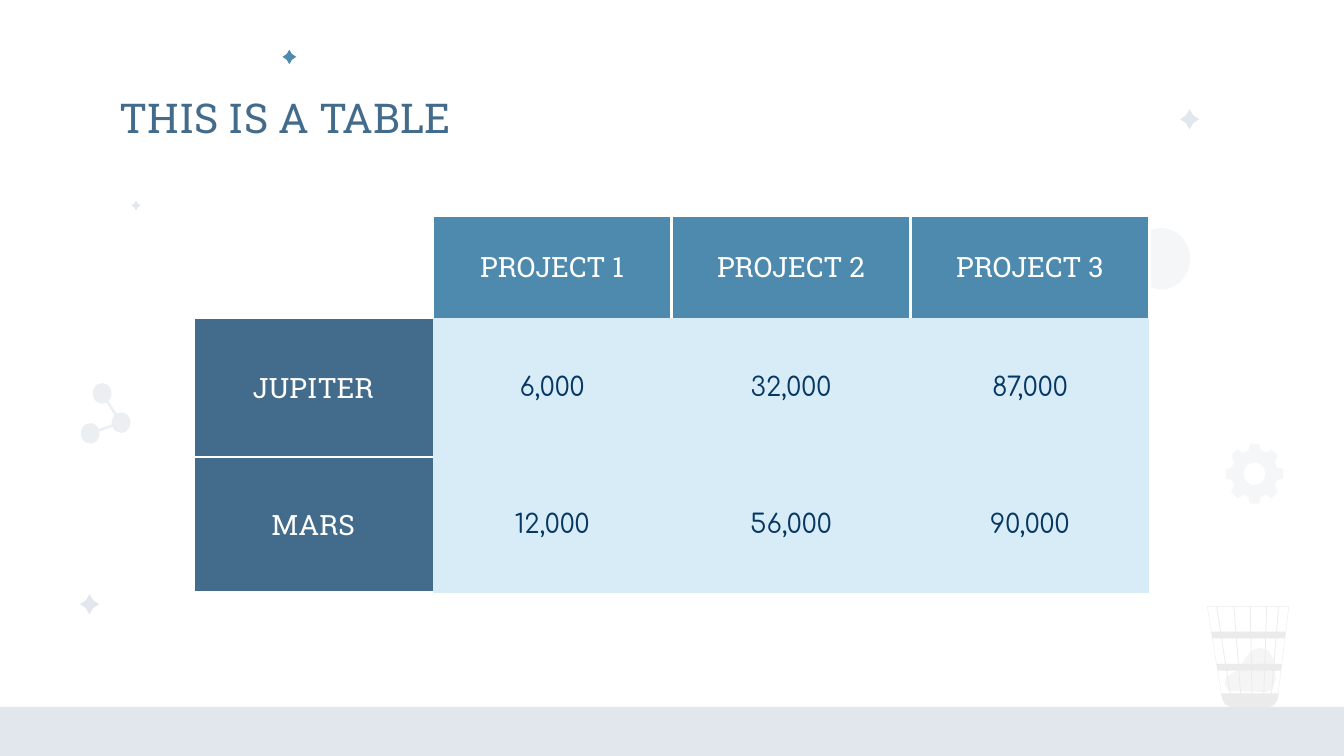
from math import cos, sin, radians
from lxml import etree
from pptx import Presentation
from pptx.dml.color import RGBColor
from pptx.enum import shapes as sh, text as tx
from pptx.oxml.ns import qn
from pptx.util import Pt

WHITE = RGBColor(0xFF, 0xFF, 0xFF)
BLUE = RGBColor(0x4E, 0x89, 0xAE)
SLATE = RGBColor(0x43, 0x6B, 0x8B)
NAVY = RGBColor(0x07, 0x37, 0x63)
ICE = RGBColor(0xD7, 0xEC, 0xF7)
MIST = RGBColor(0xE2, 0xE7, 0xED)
PALE = RGBColor(0xF5, 0xF6, 0xF8)
HAZE = RGBColor(0xEB, 0xEF, 0xF2)
GREY = RGBColor(0xEB, 0xEB, 0xEB)
FAINT = RGBColor(0xF5, 0xF5, 0xF5)
SERIF, ROUND = "Roboto Slab", "Comfortaa"


def write(frame, words, font=SERIF, size=15, color=WHITE, align=tx.PP_ALIGN.CENTER):
    para = frame.paragraphs[0]
    para.alignment = align
    run = para.add_run()
    run.text = words
    run.font.name = font
    run.font.size = Pt(size)
    run.font.bold = False
    run.font.color.rgb = color


def paint(shape, color):
    shape.shadow.inherit = False
    shape.fill.solid()
    shape.fill.fore_color.rgb = color
    shape.line.fill.background()


deck = Presentation()
deck.slide_width, deck.slide_height = Pt(720), Pt(405)
slide = deck.slides.add_slide(deck.slide_layouts[5])
parts = slide.shapes

title = parts.title
title.left, title.top, title.width, title.height = Pt(56.9), Pt(42.5), Pt(607), Pt(43.2)
frame = title.text_frame
frame.auto_size = tx.MSO_AUTO_SIZE.NONE
frame.vertical_anchor = tx.MSO_ANCHOR.TOP
frame.margin_left = frame.margin_right = frame.margin_top = frame.margin_bottom = Pt(7.2)
write(frame, "THIS IS A TABLE", size=22, color=SLATE, align=tx.PP_ALIGN.LEFT)

RECT, OVAL, STAR = sh.MSO_SHAPE.RECTANGLE, sh.MSO_SHAPE.OVAL, sh.MSO_SHAPE.STAR_4_POINT
nodes = [(54.7, 210.8), (64.8, 226.4), (48.3, 232.2)]
plain = [
    (RECT, 0, 378.7, 720, 26.3, MIST),
    (OVAL, 606.8, 122.2, 30.7, 32.8, PALE),
    (STAR, 151.3, 26.6, 7.4, 7.8, BLUE),
    (STAR, 70.4, 107.5, 5, 5.2, MIST),
    (STAR, 42.9, 318.3, 10.2, 10.8, MIST),
    (STAR, 632.2, 58.5, 10.2, 10.8, MIST),
]
plain += [(OVAL, x - 5, y - 5.5, 10, 11, HAZE) for x, y in nodes]
for kind, x, y, w, h, color in plain:
    item = parts.add_shape(kind, Pt(x), Pt(y), Pt(w), Pt(h))
    if kind == STAR:
        item.adjustments[0] = 0.27
    paint(item, color)

for x, y in (nodes[0], nodes[2]):
    line = parts.add_connector(sh.MSO_CONNECTOR.STRAIGHT, Pt(nodes[1][0]), Pt(nodes[1][1]), Pt(x), Pt(y))
    line.line.width = Pt(1.3)
    line.line.color.rgb = HAZE
    etree.SubElement(line._element.spPr, qn("a:effectLst"))

gear = []
for mid in range(0, 360, 45):
    for turn, reach in [(-15, 13), (-9, 16.2), (9, 16.2), (15, 13)]:
        angle = radians(mid + turn)
        gear.append((672.1 + reach * 0.96 * cos(angle), 253.8 + reach * sin(angle)))
hole = [(672.1 + 5.8 * cos(radians(a)), 253.8 + 6.1 * sin(radians(a))) for a in range(0, 360, 15)]

heap = [(674.6, 347), (671, 348.5), (667.5, 352), (664, 358.5), (660, 360.8), (656.8, 363),
        (656, 366), (658, 370.2), (678, 370.8), (681.8, 369.2), (683.3, 364), (682.6, 353.5),
        (679.5, 348.7)]

HIGH, LOW = 324.7, 371.5
tops = [646.6, 651.8, 661, 669.8, 678.6, 685, 690.6]
feet = [654.2, 659, 664.7, 670.7, 677.1, 681.2, 684.9]
bucket = [[(tops[0], HIGH), (tops[-1], HIGH), (feet[-1], LOW), (684.4, 375), (682.5, 377.8),
           (680, 378.7), (659.5, 378.7), (656.5, 377.5), (655, 375), (feet[0], LOW)]]
for top, foot in [(325, 338.4), (342, 355.7), (359.3, LOW)]:
    upper, lower = [[a + (b - a) * (y - HIGH) / (LOW - HIGH) for a, b in zip(tops, feet)]
                    for y in (top, foot)]
    for i in range(6):
        bucket.append([(upper[i] + 0.2, top), (lower[i] + 0.2, foot),
                       (lower[i + 1] - 0.2, foot), (upper[i + 1] - 0.2, top)])

for loops, color in [([gear, hole], PALE), ([heap], FAINT), (bucket, GREY)]:
    loops = [[(Pt(x), Pt(y)) for x, y in loop] for loop in loops]
    maker = parts.build_freeform(*loops[0][0])
    maker.add_line_segments(loops[0][1:])
    for loop in loops[1:]:
        maker.move_to(*loop[0])
        maker.add_line_segments(loop[1:])
    paint(maker.convert_to_shape(), color)

rows = [
    ["", "PROJECT 1", "PROJECT 2", "PROJECT 3"],
    ["JUPITER", "6,000", "32,000", "87,000"],
    ["MARS", "12,000", "56,000", "90,000"],
]
grid = parts.add_table(3, 4, Pt(103.8), Pt(115.7), Pt(512), Pt(202)).table
grid.first_row = grid.horz_banding = False
grid._tbl.tblPr.find(qn("a:tableStyleId")).text = "{2D5ABB26-0587-4C30-8999-92F81FD0307C}"
for col in grid.columns:
    col.width = Pt(128)
for row, high in zip(grid.rows, (54.6, 74.6, 72.6)):
    row.height = Pt(high)

for r, row in enumerate(rows):
    for c, words in enumerate(row):
        cell = grid.cell(r, c)
        cell.vertical_anchor = tx.MSO_ANCHOR.MIDDLE
        cell.margin_left = cell.margin_right = cell.margin_top = cell.margin_bottom = Pt(7.2)
        if not words:
            cell.fill.background()
            edges = "RB"
        elif r and c:
            cell.fill.solid()
            cell.fill.fore_color.rgb = ICE
            write(cell.text_frame, words, font=ROUND, size=14, color=NAVY)
            edges = ""
        else:
            cell.fill.solid()
            cell.fill.fore_color.rgb = SLATE if r else BLUE
            write(cell.text_frame, words)
            edges = "LTB" if r else "LRT"
        for n, edge in enumerate(edges):
            rule = etree.Element(qn("a:ln" + edge), w=str(Pt(1.5)))
            ink = etree.SubElement(rule, qn("a:solidFill"))
            etree.SubElement(ink, qn("a:srgbClr"), val=str(WHITE))
            cell._tc.tcPr.insert(n, rule)

deck.save("out.pptx")
